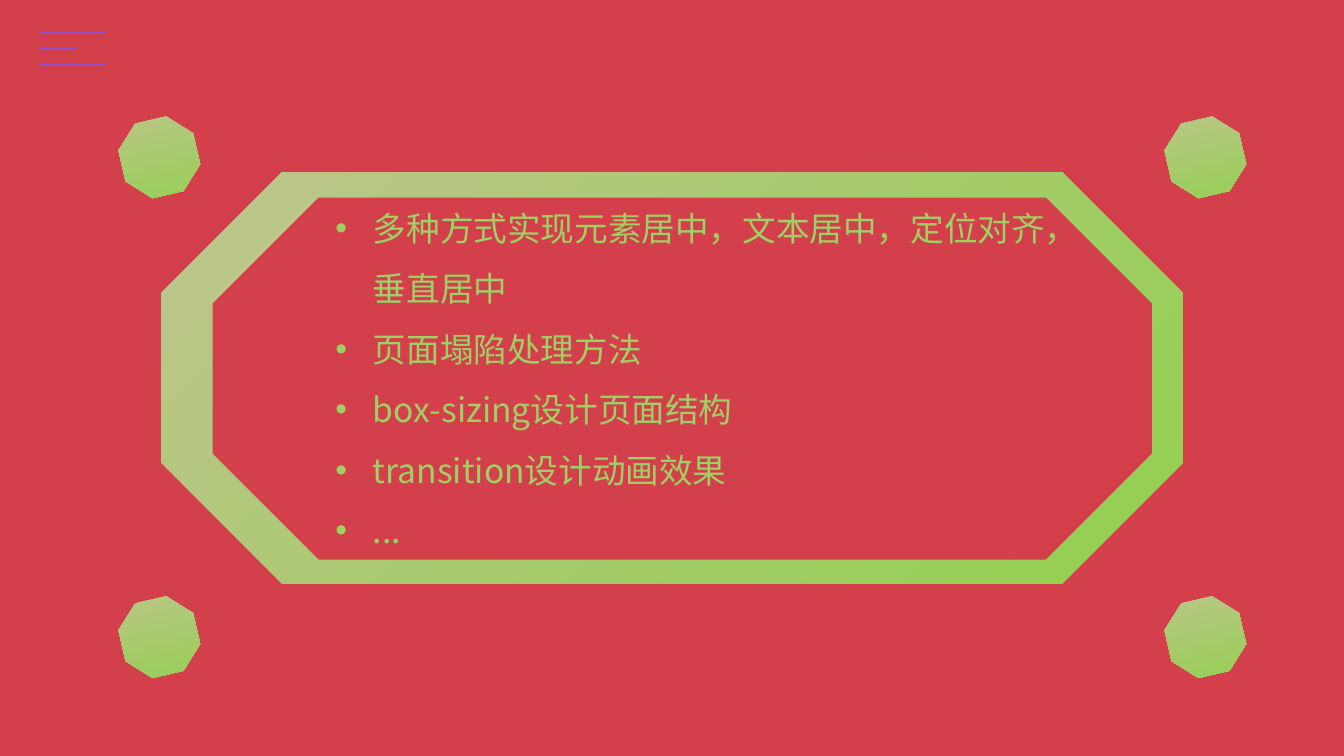
from pptx import Presentation
from pptx import util as u
from pptx.dml.color import RGBColor
from pptx.enum import shapes as sh, text as tx
from pptx.oxml import parse_xml
from pptx.oxml.ns import nsdecls, qn
from lxml import etree

RED = RGBColor(0xD3, 0x3F, 0x4B)
SAND = RGBColor(0xBE, 0xC5, 0x8C)
GREEN = RGBColor(0x92, 0xD0, 0x50)
LIME = RGBColor(0xA0, 0xCF, 0x63)
PURPLE = RGBColor(0x93, 0x4D, 0xCA)
FONT = "Noto Sans CJK TC"

# Content, lengths in cm
POINTS = [
    "多种方式实现元素居中，文本居中，定位对齐，垂直居中",
    "页面塌陷处理方法",
    "box-sizing设计页面结构",
    "transition设计动画效果",
    "...",
]
MENU = [1.68, 0.94, 1.68]            # line lengths
FRAME = (4.07, 4.34, 25.73, 10.36)
PANEL = (5.36, 4.98, 23.67, 9.12)
BODY = (8.2, 4.6, 19.08, 9.47)
GEM = 1.93
GEM_X, GEM_Y = (3.05, 29.41), (3.0, 15.09)

prs = Presentation()
prs.slide_width, prs.slide_height = u.Cm(33.87), u.Cm(19.05)
slide = prs.slides.add_slide(prs.slide_layouts[6])
slide.background.fill.solid()
slide.background.fill.fore_color.rgb = RED


def octagon(box, turn=0, flat=None):
    part = slide.shapes.add_shape(sh.MSO_SHAPE.OCTAGON, *map(u.Cm, box))
    part.shadow.inherit = False
    part.line.fill.background()
    part.rotation = turn
    if flat:
        part.fill.solid()
        part.fill.fore_color.rgb = flat
        return
    part.fill.gradient()
    part.fill.gradient_angle = 315
    for stop, tint, pos in zip(part.fill.gradient_stops, (SAND, GREEN), (0, 1)):
        stop.color.rgb = tint
        stop.position = pos


# Menu mark
for row, size in enumerate(MENU):
    y = u.Cm(0.83 + 0.4 * row)
    line = slide.shapes.add_connector(
        sh.MSO_CONNECTOR.STRAIGHT, u.Cm(1), y, u.Cm(1 + size), y)
    line.line.color.rgb = PURPLE
    line.line.width = u.Pt(1.25)
    etree.SubElement(line._element.spPr, qn("a:effectLst"))

# Frame and corner gems
octagon(FRAME)
octagon(PANEL, flat=RED)
for x in GEM_X:
    for y in GEM_Y:
        octagon((x, y, GEM, GEM), turn=32)

# Bullet list
frame = slide.shapes.add_textbox(*map(u.Cm, BODY)).text_frame
frame.word_wrap = True
frame.auto_size = tx.MSO_AUTO_SIZE.SHAPE_TO_FIT_TEXT
frame.text = "\n".join(POINTS)
for para in frame.paragraphs:
    para.line_spacing = 1.5
    props = para._p.get_or_add_pPr()
    props.set("marL", str(u.Cm(0.95)))
    props.set("indent", str(u.Cm(-0.95)))
    props.append(parse_xml(f'<a:buFont {nsdecls("a")} typeface="Arial"/>'))
    props.append(parse_xml(f'<a:buChar {nsdecls("a")} char="•"/>'))
    font = para.runs[0].font
    font.size = u.Pt(24)
    font.color.rgb = LIME
    font.name = FONT
    east = parse_xml(f'<a:ea {nsdecls("a")} typeface="{FONT}"/>')
    font._element.find(qn("a:latin")).addnext(east)

prs.save("out.pptx")
